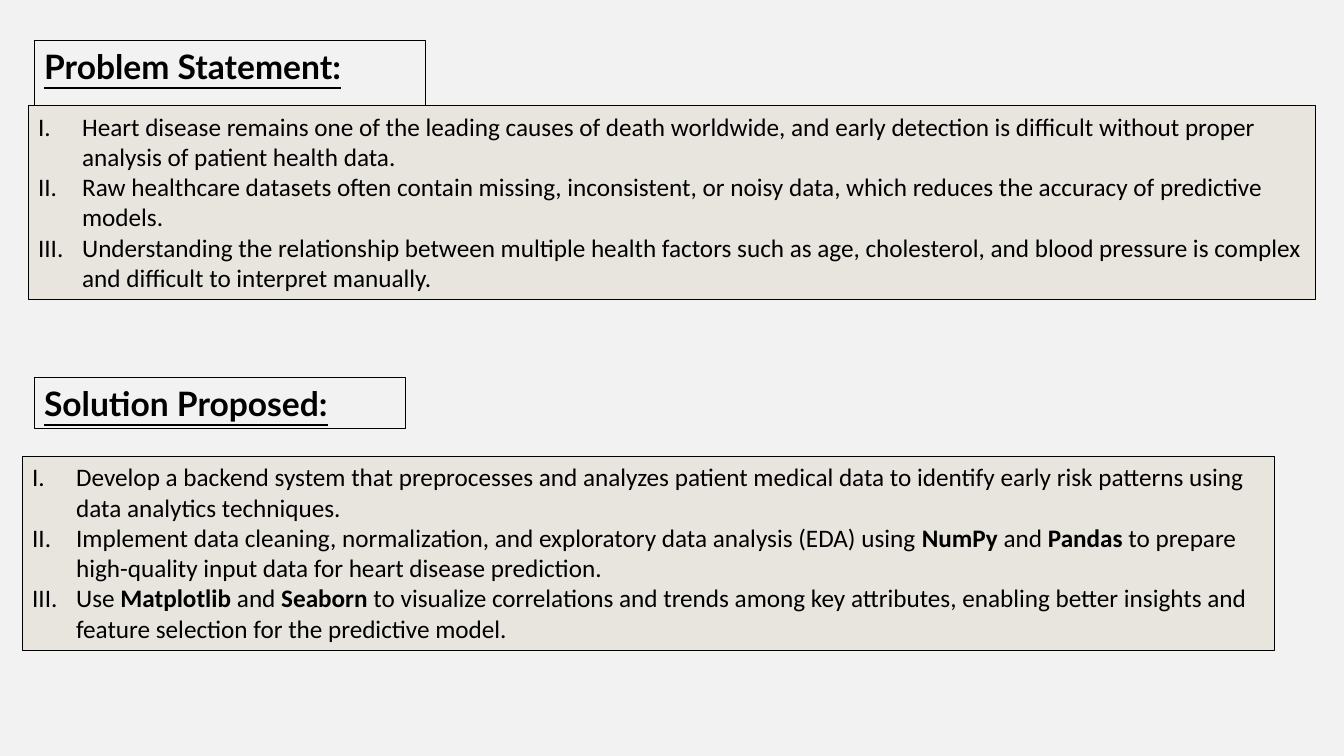
"""Build the problem statement and proposed solution slide."""
from lxml import etree
from pptx import Presentation
from pptx.dml.color import RGBColor
from pptx.enum.text import MSO_ANCHOR, MSO_AUTO_SIZE, PP_ALIGN
from pptx.oxml.ns import qn
from pptx.util import Cm, Pt

TOP = MSO_ANCHOR.TOP
GROW = MSO_AUTO_SIZE.SHAPE_TO_FIT_TEXT
LEFT = PP_ALIGN.LEFT
COLOURS = {"page": "F2F2F2", "panel": "E8E5DE", "ink": "000000"}

SECTIONS = [
    {
        "heading": "Problem Statement:",
        "heading_at": (0.86, 1.02, 9.86, 1.27),
        "panel_at": (0.71, 2.67, 32.44, 4.88),
        "points": [
            [("Heart disease remains one of the leading causes of death worldwide, and early "
              "detection is difficult without proper analysis of patient health data.", False)],
            [("Raw healthcare datasets often contain missing, inconsistent, or noisy data, which "
              "reduces the accuracy of predictive models.", False)],
            [("Understanding the relationship between multiple health factors such as age, "
              "cholesterol, and blood pressure is complex and difficult to interpret manually.",
              False)],
        ],
    },
    {
        "heading": "Solution Proposed:",
        "heading_at": (0.86, 9.52, 9.37, 1.27),
        "panel_at": (0.56, 11.51, 31.57, 4.88),
        "points": [
            [("Develop a backend system that preprocesses and analyzes patient medical data to "
              "identify early risk patterns using data analytics techniques.", False)],
            [("Implement data cleaning, normalization, and exploratory data analysis (EDA) using ",
              False), ("NumPy", True), (" and ", False), ("Pandas", True),
             (" to prepare high-quality input data for heart disease prediction.", False)],
            [("Use ", False), ("Matplotlib", True), (" and ", False), ("Seaborn", True),
             (" to visualize correlations and trends among key attributes, enabling better "
              "insights and feature selection for the predictive model.", False)],
        ],
    },
]


def colour(name):
    return RGBColor.from_string(COLOURS[name])


def frame_box(box, place):
    """Place and outline a box, and return its text frame."""
    box.left, box.top, box.width, box.height = [Cm(length) for length in place]
    box.line.color.rgb = colour("ink")
    box.line.width = Pt(0.75)
    frame = box.text_frame
    frame.word_wrap = True
    frame.auto_size = GROW
    frame.vertical_anchor = TOP
    return frame


def add_span(para, text, font, size, bold, underline=False):
    span = para.add_run()
    span.text = text
    span.font.name = font
    span.font.size = Pt(size)
    span.font.bold = bold
    span.font.underline = underline
    span.font.color.rgb = colour("ink")


def number_roman(para):
    properties = para._p.get_or_add_pPr()
    properties.set("marL", str(Cm(1.11)))
    properties.set("indent", str(Cm(-1.11)))
    etree.SubElement(properties, qn("a:buFont"), typeface="+mj-lt")
    etree.SubElement(properties, qn("a:buAutoNum"), type="romanUcPeriod")


def add_heading(box, section):
    para = frame_box(box, section["heading_at"]).paragraphs[0]
    para.alignment = LEFT
    add_span(para, section["heading"], "Lato", 24, True, True)


def add_panel(page, section):
    box = page.shapes.add_textbox(0, 0, 0, 0)
    frame = frame_box(box, section["panel_at"])
    box.fill.solid()
    box.fill.fore_color.rgb = colour("panel")
    for index, point in enumerate(section["points"]):
        para = frame.add_paragraph() if index else frame.paragraphs[0]
        number_roman(para)
        for text, bold in point:
            add_span(para, text, "Calibri", 18, bold)


def main():
    deck = Presentation()
    deck.slide_width, deck.slide_height = Cm(33.87), Cm(19.05)
    page = deck.slides.add_slide(deck.slide_layouts[5])
    page.background.fill.solid()
    page.background.fill.fore_color.rgb = colour("page")
    for index, section in enumerate(SECTIONS):
        heading = page.shapes.add_textbox(0, 0, 0, 0) if index else page.shapes.title
        add_heading(heading, section)
        add_panel(page, section)
    deck.save("out.pptx")


if __name__ == "__main__":
    main()
